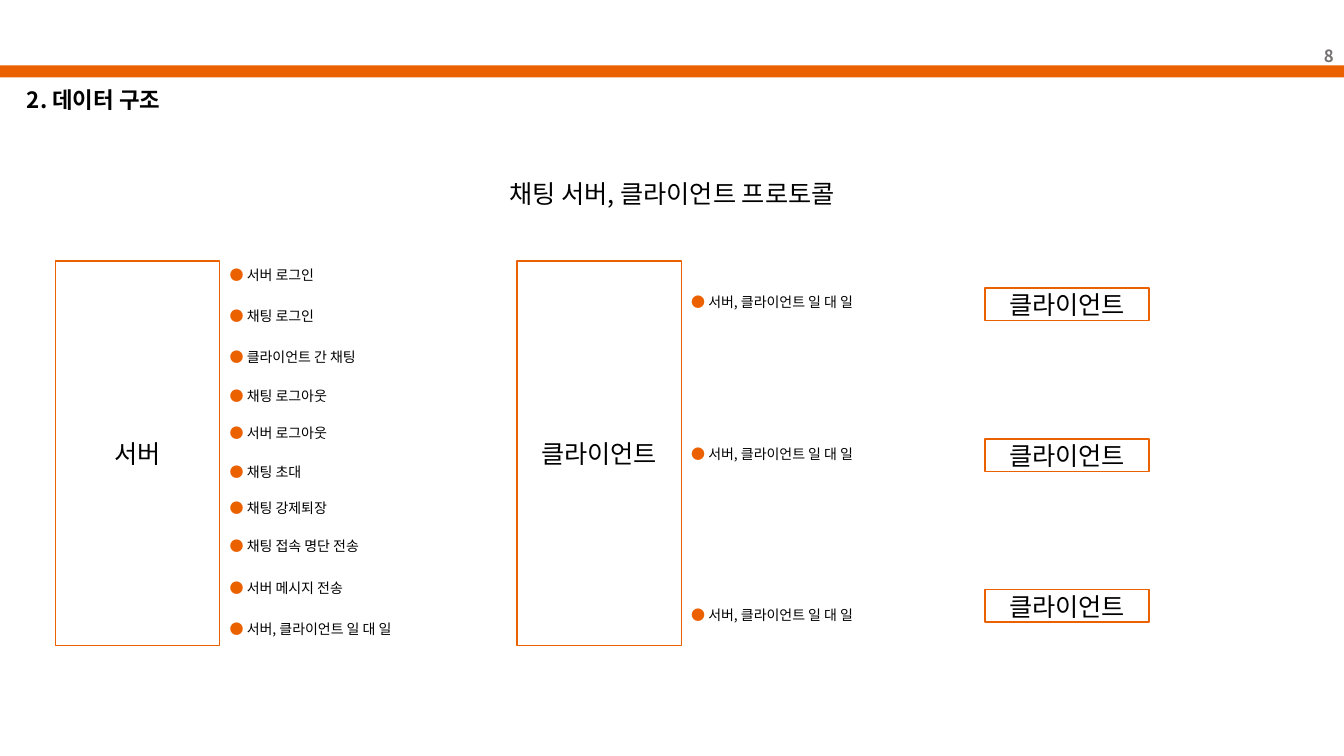
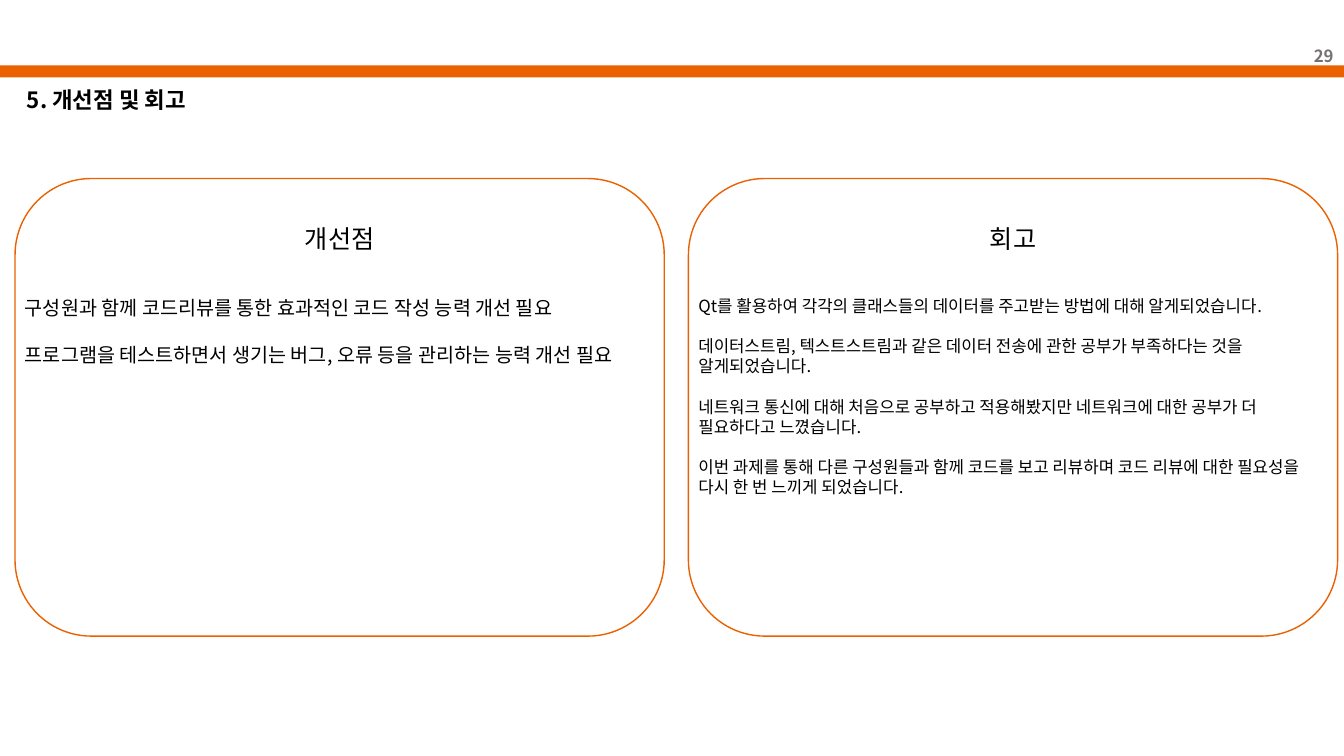
from pptx import Presentation
from pptx.dml.color import RGBColor
from pptx.enum.shapes import MSO_SHAPE
from pptx.enum.text import MSO_ANCHOR, PP_ALIGN
from pptx.oxml.ns import qn
from pptx.util import Cm, Pt

RECT, ROUND = MSO_SHAPE.RECTANGLE, MSO_SHAPE.ROUNDED_RECTANGLE
LEFT, CENTER, RIGHT = PP_ALIGN.LEFT, PP_ALIGN.CENTER, PP_ALIGN.RIGHT
TOP, MIDDLE = MSO_ANCHOR.TOP, MSO_ANCHOR.MIDDLE

FONT = "Noto Sans CJK KR"
ORANGE, BLACK, GRAY = "EB6100", "000000", "767171"
WIDTH, HEIGHT = 33.87, 19.05
LINE_HEIGHT = 1.2

# Text formats
TITLE = {"size": Pt(16), "bold": True}
NUMBER = {"size": Pt(12), "bold": True}
HEADING = {"size": Pt(18)}
ITEM = {"size": Pt(10)}


def rgb(value):
    return RGBColor.from_string(value)


class Deck:
    """Holds the style and the current slide."""

    def __init__(self):
        self.prs = Presentation()
        self.prs.slide_width, self.prs.slide_height = Cm(WIDTH), Cm(HEIGHT)
        self.s = None

    def slide(self, title, number):
        self.s = self.prs.slides.add_slide(self.prs.slide_layouts[6])
        self.shape(RECT, 0, 1.65, WIDTH, 0.3, fill=ORANGE)
        self.text(32.16, 0.89, 1.7, 1.02, [[(number, GRAY)]], NUMBER, RIGHT, MIDDLE)
        self.text(0.43, 2.01, 9.02, 1.02, [[(title, BLACK)]], TITLE, LEFT, MIDDLE)

    def shape(self, kind, x, y, w, h, fill=None, label=None):
        sp = self.s.shapes.add_shape(kind, Cm(x), Cm(y), Cm(w), Cm(h))
        sp.shadow.inherit = False
        if fill:
            sp.fill.solid()
            sp.fill.fore_color.rgb = rgb(fill)
            sp.line.fill.background()
        else:
            sp.fill.background()
            sp.line.color.rgb = rgb(ORANGE)
            sp.line.width = Pt(1)
        if label:
            self.fill_text(sp.text_frame, [[(label, BLACK)]], HEADING, CENTER, MIDDLE)

    def text(self, x, y, w, h, paragraphs, style, align=LEFT, anchor=TOP, gap=0):
        box = self.s.shapes.add_textbox(Cm(x), Cm(y), Cm(w), Cm(h))
        self.fill_text(box.text_frame, paragraphs, style, align, anchor, gap)

    def fill_text(self, tf, paragraphs, style, align, anchor, gap=0):
        tf.word_wrap = True
        tf.vertical_anchor = anchor
        for i, runs in enumerate(paragraphs):
            p = tf.add_paragraph() if i else tf.paragraphs[0]
            p.alignment = align
            p.line_spacing = Pt(style["size"].pt * LINE_HEIGHT)
            p.space_before = Pt(gap if i else 0)
            for content, color in runs:
                r = p.add_run()
                r.text = content
                r.font.color.rgb = rgb(color)
                for name, value in {"name": FONT, **style}.items():
                    setattr(r.font, name, value)
                # East Asian typeface
                props = r._r.get_or_add_rPr()
                props.append(props.makeelement(qn("a:ea"), {"typeface": FONT}))

    def heading(self, x, y, w, content):
        self.text(x, y, w, 1.02, [[(content, BLACK)]], HEADING, CENTER)

    def item(self, x, y, content):
        self.text(x, y, 4.62, 0.69, [[("● ", ORANGE), (content, BLACK)]], ITEM)

    def body(self, x, y, w, h, lines, size):
        self.text(x, y, w, h, [[(line, BLACK)] for line in lines],
                  {"size": Pt(size)}, gap=size * LINE_HEIGHT)


def protocol_slide(deck):
    deck.slide("2. 데이터 구조", "8")
    deck.heading(0, 4.37, WIDTH, "채팅 서버, 클라이언트 프로토콜")

    # Server and client columns
    top, width, height = 6.58, 4.14, 9.68
    server_x, client_x, peer_x = 1.4, 13.03, 24.82
    for x, label in ((server_x, "서버"), (client_x, "클라이언트")):
        deck.shape(RECT, x, top, width, height, label=label)

    # Server messages
    one_to_one = "서버, 클라이언트 일 대 일"
    messages = (
        (6.58, "서버 로그인"), (7.62, "채팅 로그인"),
        (8.66, "클라이언트 간 채팅"), (9.65, "채팅 로그아웃"),
        (10.57, "서버 로그아웃"), (11.56, "채팅 초대"),
        (12.47, "채팅 강제퇴장"), (13.41, "채팅 접속 명단 전송"),
        (14.48, "서버 메시지 전송"), (15.52, one_to_one),
    )
    for y, message in messages:
        deck.item(server_x + width, y, message)

    # Peer clients
    for i, y in enumerate((7.26, 11.1, 15.16)):
        deck.item(client_x + width, y, one_to_one)
        deck.shape(RECT, peer_x, 7.26 + 3.8 * i, width, 0.82, label="클라이언트")


def review_slide(deck):
    deck.slide("5. 개선점 및 회고", "29")
    panels = (
        ("개선점", 14, 2.06, (
            "구성원과 함께 코드리뷰를 통한 효과적인 코드 작성 능력 개선 필요",
            "프로그램을 테스트하면서 생기는 버그, 오류 등을 관리하는 능력 개선 필요",
        )),
        ("회고", 12, 5.38, (
            "Qt를 활용하여 각각의 클래스들의 데이터를 주고받는 방법에 대해 알게되었습니다.",
            "데이터스트림, 텍스트스트림과 같은 데이터 전송에 관한 공부가 부족하다는 것을 "
            "알게되었습니다.",
            "네트워크 통신에 대해 처음으로 공부하고 적용해봤지만 네트워크에 대한 공부가 더 "
            "필요하다고 느꼈습니다.",
            "이번 과제를 통해 다른 구성원들과 함께 코드를 보고 리뷰하며 코드 리뷰에 대한 "
            "필요성을 다시 한 번 느끼게 되었습니다.",
        )),
    )
    width = 16.36
    for i, (name, size, height, lines) in enumerate(panels):
        x = 0.38 + 16.97 * i
        deck.shape(ROUND, x, 4.5, width, 11.53)
        deck.heading(x, 5.51, width, name)
        deck.body(x, 7.32, width, height, lines, size)


def main():
    deck = Deck()
    protocol_slide(deck)
    review_slide(deck)
    deck.prs.save("out.pptx")


if __name__ == "__main__":
    main()
